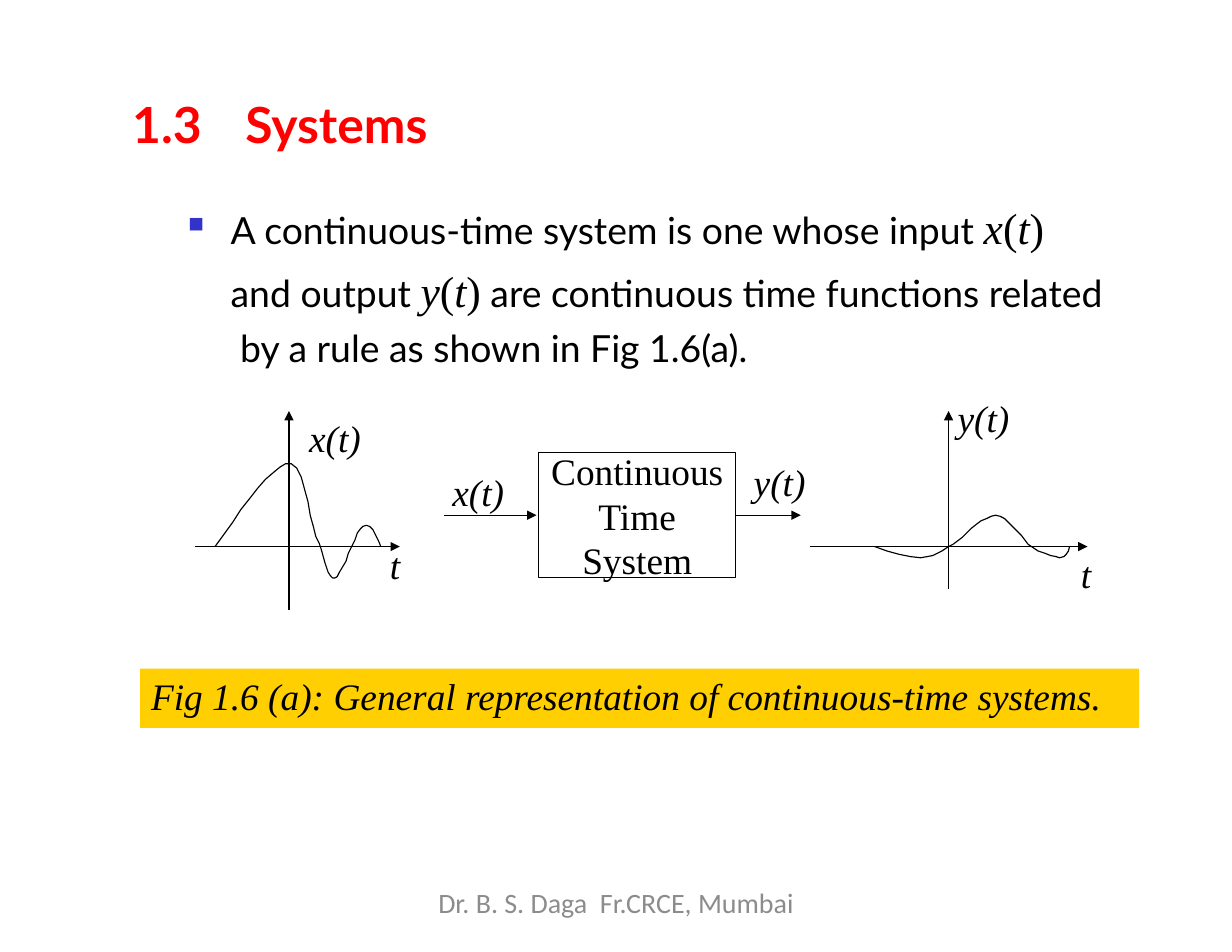
import pptx
import pptx.dml.color
import pptx.enum.shapes
import pptx.enum.text
import pptx.oxml.ns
import pptx.util
from dataclasses import dataclass
from lxml import etree

Inches, Pt = pptx.util.Inches, pptx.util.Pt
MSO, ALIGN = pptx.enum.shapes, pptx.enum.text.PP_ALIGN
ANCHOR = pptx.enum.text.MSO_ANCHOR


@dataclass(frozen=True)
class Theme:
    """Colours, fonts and type sizes."""
    red: str = "FF0000"
    black: str = "000000"
    bullet: str = "3333CC"
    band: str = "FFCF01"
    grey: str = "8C8C8C"
    sans: str = "Lato"
    serif: str = "Times New Roman"
    foot: str = "Calibri"
    title: int = 32
    math: int = 28
    body: int = 24
    small: int = 18
    line: float = 0.75


T = Theme()
MATH = dict(font=T.serif, size=T.math)
VAR = dict(MATH, italic=True)

# Curve points in inches from the crossing of the axes, y upwards
INPUT_CURVE = [
    (-.66, 0), (-.58, .11), (-.5, .22), (-.43, .33), (-.35, .43), (-.28, .52),
    (-.21, .6), (-.14, .66), (-.08, .71), (-.03, .74), (0, .74), (.02, .74),
    (.07, .7), (.11, .62), (.14, .51), (.17, .4), (.19, .28), (.22, .17),
    (.24, .09), (.27, .03), (.29, -.03), (.32, -.14), (.35, -.23),
    (.37, -.26), (.39, -.28), (.41, -.28), (.43, -.27), (.45, -.23),
    (.48, -.18), (.51, -.13), (.53, -.06), (.56, 0), (.59, .06), (.61, .12),
    (.64, .16), (.66, .18), (.69, .19), (.72, .18), (.75, .15), (.77, .11),
    (.8, .05), (.82, 0)]
OUTPUT_CURVE = [
    (-.66, 0), (-.55, -.04), (-.44, -.07), (-.34, -.09), (-.25, -.1),
    (-.19, -.09), (-.14, -.08), (-.06, -.04), (0, 0), (.04, .02), (.08, .05),
    (.12, .08), (.16, .12), (.2, .16), (.25, .2), (.29, .23), (.34, .25),
    (.38, .27), (.42, .28), (.46, .27), (.5, .25), (.57, .18), (.65, .1),
    (.71, .02), (.8, -.04), (.86, -.06), (.91, -.08), (.96, -.09),
    (.99, -.1), (1.03, -.09), (1.05, -.07), (1.07, -.04), (1.08, 0)]


def rgb(value):
    """Turn a hex string into a colour."""
    return pptx.dml.color.RGBColor.from_string(value)


def sub(parent, tag, **attrs):
    """Append a DrawingML element."""
    return etree.SubElement(parent, pptx.oxml.ns.qn("a:" + tag), attrs)


def write(sp, lines, font=T.serif, size=T.body, color=T.black, bold=False,
          italic=False, align=ALIGN.LEFT, anchor=ANCHOR.TOP, before=0,
          spacing=None, left=0, top=0):
    """Fill a shape with one paragraph; each line is a string or (text, format) runs."""
    tf = sp.text_frame
    tf.word_wrap = True
    tf.vertical_anchor = anchor
    tf.margin_left, tf.margin_top = Inches(left), Inches(top)
    tf.margin_right = tf.margin_bottom = 0
    p = tf.paragraphs[0]
    p.alignment, p.space_before, p.line_spacing = align, Pt(before), spacing
    base = dict(font=font, size=size, italic=italic)
    for i, line in enumerate([lines] if isinstance(lines, str) else lines):
        if i:
            p.add_line_break()
        for text, changes in [(line, {})] if isinstance(line, str) else line:
            look = {**base, **changes}
            r = p.add_run()
            r.text = text
            r.font.name, r.font.size = look["font"], Pt(look["size"])
            r.font.italic, r.font.bold = look["italic"], bold
            r.font.color.rgb = rgb(color)
    return p


def text_box(s, box, lines, **fmt):
    """Add a text box and return its paragraph."""
    return write(s.shapes.add_textbox(*map(Inches, box)), lines, **fmt)


def rectangle(s, box, fill=None, line=None):
    """Add a plain rectangle."""
    sp = s.shapes.add_shape(MSO.MSO_SHAPE.RECTANGLE, *map(Inches, box))
    sp.shadow.inherit = False
    for part, color in ((sp.fill, fill), (sp.line.fill, line)):
        if color:
            part.solid()
            part.fore_color.rgb = rgb(color)
        else:
            part.background()
    if line:
        sp.line.width = Pt(T.line)
    return sp


def arrow(s, x1, y1, x2, y2):
    """Draw a thin line with an arrowhead at its end."""
    c = s.shapes.add_connector(MSO.MSO_CONNECTOR.STRAIGHT,
                               *map(Inches, (x1, y1, x2, y2)))
    c.line.color.rgb, c.line.width = rgb(T.black), Pt(T.line)
    sub(c.line._get_or_add_ln(), "tailEnd", type="triangle")
    sub(c._element.spPr, "effectLst")


def label(s, x, y, text, width=0.5):
    """Write a signal name."""
    text_box(s, (x, y, width, 0.43), text, italic=True, before=1, left=0.01, top=0.01)


def plot(s, box, origin, curve, name, name_at, t_at):
    """Draw axes that fill the box, a signal curve and both axis names."""
    x, y, w, h = box
    ox, oy = x + origin[0], y + origin[1]
    arrow(s, x, oy, x + w, oy)
    arrow(s, ox, y + h, ox, y)
    points = [(Inches(ox + dx), Inches(oy - dy)) for dx, dy in curve]
    fb = s.shapes.build_freeform(*points[0])
    fb.add_line_segments(points[1:], close=False)
    sp = fb.convert_to_shape()
    sp.shadow.inherit = False
    sp.fill.background()
    sp.line.color.rgb, sp.line.width = rgb(T.black), Pt(T.line)
    label(s, x + name_at[0], y + name_at[1], name)
    label(s, x + t_at[0], y + t_at[1], "t", width=0.12)


def system_block(s, box):
    """Draw the system box with its input and output arrows."""
    x, y, w, h = box
    sp = rectangle(s, box, line=T.black)
    write(sp, ["Continuous", "Time", "System"], align=ALIGN.CENTER,
          anchor=ANCHOR.MIDDLE, spacing=Pt(28.8))
    mid = y + h / 2
    arrow(s, x - 0.85, mid, x - 0.02, mid)
    arrow(s, x + w, mid, x + w + 0.58, mid)
    label(s, x - 0.78, y + 0.14, "x(t)")
    label(s, x + w + 0.15, y + 0.05, "y(t)")


def heading(s, box):
    """Write the section number and title, set apart by a tab."""
    p = text_box(s, box, "1.3\tSystems", font=T.sans, size=T.title, color=T.red,
                 bold=True, before=0.9, left=0.01, top=0.01)
    sub(sub(p._p.get_or_add_pPr(), "tabLst"), "tab", pos=str(Inches(1.01)), algn="l")


def statement(s, box):
    """Write the bulleted definition."""
    def signal(name):
        return [(name, VAR), ("(", MATH), ("t", VAR), (")", MATH)]

    p = text_box(s, box, [
        [("A continuous-time system is one whose input ", {}), *signal("x")],
        [("and output ", {}), *signal("y"),
         (" are continuous time functions related", {})],
        " by a rule as shown in Fig 1.6(a)."],
        font=T.sans, before=1.2, spacing=1.2, top=0.02)
    pPr = p._p.get_or_add_pPr()
    pPr.set("marL", str(Inches(0.39)))
    pPr.set("indent", str(Inches(-0.38)))
    sub(sub(pPr, "buClr"), "srgbClr", val=T.bullet)
    sub(pPr, "buSzPct", val="58000")
    sub(pPr, "buChar", char="■")


def caption(s, box):
    """Write the figure caption on its band."""
    write(rectangle(s, box, fill=T.band),
          "Fig 1.6 (a): General representation of continuous-time systems.",
          italic=True, before=2.7, left=0.1, top=0.04)


def main():
    """Build the slide."""
    prs = pptx.Presentation()
    prs.slide_width, prs.slide_height = Inches(11), Inches(8.5)
    s = prs.slides.add_slide(prs.slide_layouts[6])
    heading(s, (1.17, 0.83, 2.89, 0.56))
    statement(s, (1.67, 1.68, 8.24, 1.64))
    caption(s, (1.25, 5.97, 8.92, 0.53))
    system_block(s, (4.81, 4.04, 1.76, 1.12))
    plot(s, (1.74, 3.67, 1.83, 1.78), (0.84, 1.21), INPUT_CURVE,
         "x(t)", (1.01, 0.03), (1.73, 1.16))
    plot(s, (7.23, 3.67, 2.48, 1.59), (1.24, 1.21), OUTPUT_CURVE,
         "y(t)", (1.31, -0.15), (2.41, 1.24))
    text_box(s, (3.74, 7.91, 3.52, 0.42), "Dr. B. S. Daga  Fr.CRCE, Mumbai",
             font=T.foot, size=T.small, color=T.grey, align=ALIGN.CENTER)
    prs.save("out.pptx")


main()
